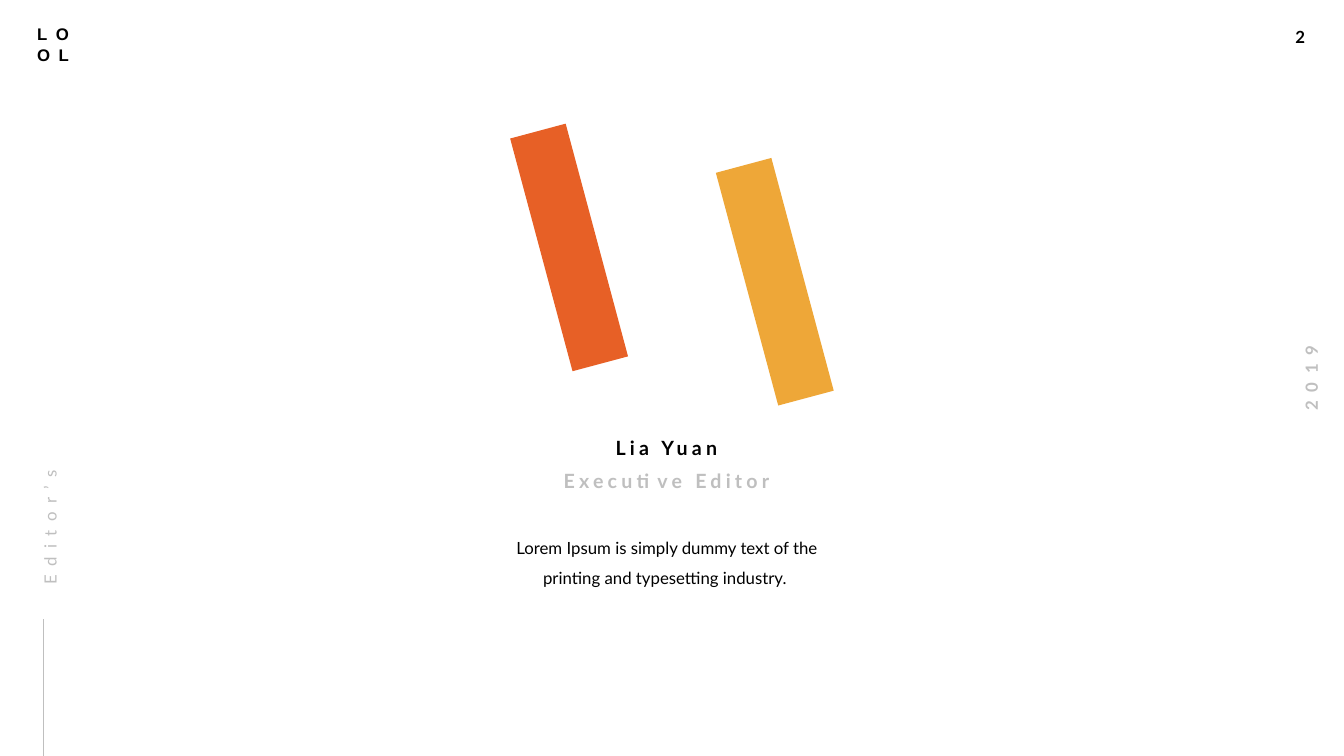
"""Build the editor introduction slide with two slanted colour bars."""
import pptx
import pptx.dml.color
import pptx.enum.shapes
import pptx.enum.text
import pptx.oxml
import pptx.oxml.ns
import pptx.util

Inches = pptx.util.Inches
Pt = pptx.util.Pt
Align = pptx.enum.text.PP_ALIGN

THEME = {
    "black": pptx.dml.color.RGBColor.from_string("000000"),
    "grey": pptx.dml.color.RGBColor.from_string("BFBFBF"),
    "orange": pptx.dml.color.RGBColor.from_string("E76026"),
    "yellow": pptx.dml.color.RGBColor.from_string("EEA738"),
    "font": "Lato",
    "mark_font": "Arial",
    "small": Pt(12),
    "large": Pt(14),
    "wide": 600,
    "medium": 300,
}


def place(shape, left, top, width, height, rotation=0):
    position = {"left": left, "top": top, "width": width, "height": height}
    for name, value in position.items():
        setattr(shape, name, Inches(value))
    shape.rotation = rotation


def write(shape, lines, color="black", size="small", font="font", bold=False,
          spacing=None, wrap=True, inset=False, paragraph_format=None):
    frame = shape.text_frame
    frame_format = {
        "word_wrap": wrap,
        "auto_size": pptx.enum.text.MSO_AUTO_SIZE.SHAPE_TO_FIT_TEXT,
        "vertical_anchor": pptx.enum.text.MSO_ANCHOR.TOP,
    }
    if inset:
        frame_format.update(margin_left=0, margin_top=0,
                            margin_right=Inches(0.1), margin_bottom=0)
    for name, value in frame_format.items():
        setattr(frame, name, value)
    frame.text = "\n".join(lines)
    for paragraph in frame.paragraphs:
        for name, value in (paragraph_format or {}).items():
            setattr(paragraph, name, value)
        for run in paragraph.runs:
            font_format = {"name": THEME[font], "size": THEME[size], "bold": bold}
            for name, value in font_format.items():
                setattr(run.font, name, value)
            run.font.color.rgb = THEME[color]
            if spacing:
                run._r.get_or_add_rPr().set("spc", str(THEME[spacing]))


presentation = pptx.Presentation()
presentation.slide_width = Inches(13.33)
presentation.slide_height = Inches(7.5)
slide = presentation.slides.add_slide(presentation.slide_layouts[5])

for color, left, top in (("yellow", 7.4, 1.6), ("orange", 5.36, 1.26)):
    bar = slide.shapes.add_shape(
        pptx.enum.shapes.MSO_SHAPE.RECTANGLE, 0, 0, 0, 0)
    place(bar, left, top, 0.57, 2.39, 345)
    bar.shadow.inherit = False
    bar.fill.solid()
    bar.fill.fore_color.rgb = THEME[color]
    bar.line.fill.background()

side_line = slide.shapes.add_connector(
    pptx.enum.shapes.MSO_CONNECTOR.STRAIGHT,
    Inches(0.43), Inches(7.5), Inches(0.43), Inches(6.14))
side_line.line.color.rgb = THEME["grey"]
side_line.line.width = Pt(0.5)
side_line._element.spPr.append(
    pptx.oxml.parse_xml(f"<a:effectLst {pptx.oxml.ns.nsdecls('a')}/>"))

name_format = {"alignment": Align.CENTER, "space_before": Pt(12)}
label_format = {"line_spacing": 1.5, "space_before": Pt(12)}
heading = {"size": "large", "bold": True, "spacing": "medium", "inset": True,
           "paragraph_format": name_format}

place(slide.shapes.title, 5.13, 4.32, 3.06, 0.24)
write(slide.shapes.title, ["Lia Yuan"], **heading)

texts = (
    (["2"], (12.75, 0.22, 0.41, 0.3), {"bold": True, "wrap": False}),
    (["2019"], (12.54, 3.6, 0.93, 0.3, 270),
     {"color": "grey", "bold": True, "spacing": "wide", "wrap": False,
      "paragraph_format": {"alignment": Align.CENTER}}),
    (["LO", "OL"], (0.27, 0.19, 0.59, 0.5),
     {"font": "mark_font", "bold": True, "spacing": "wide"}),
    (["Editor’s"], (-0.31, 4.92, 1.48, 0.27, 270),
     {"color": "grey", "spacing": "wide", "inset": True,
      "paragraph_format": label_format}),
    (["Executive Editor"], (5.13, 4.65, 3.06, 0.24),
     {"color": "grey", **heading}),
    (["Lorem Ipsum is simply dummy text of the printing and typesetting industry. "],
     (5.04, 5.23, 3.25, 0.57),
     {"inset": True, "paragraph_format": {**name_format, **label_format}}),
)
for lines, position, text_format in texts:
    text_box = slide.shapes.add_textbox(0, 0, 0, 0)
    place(text_box, *position)
    write(text_box, lines, **text_format)

presentation.save("out.pptx")
